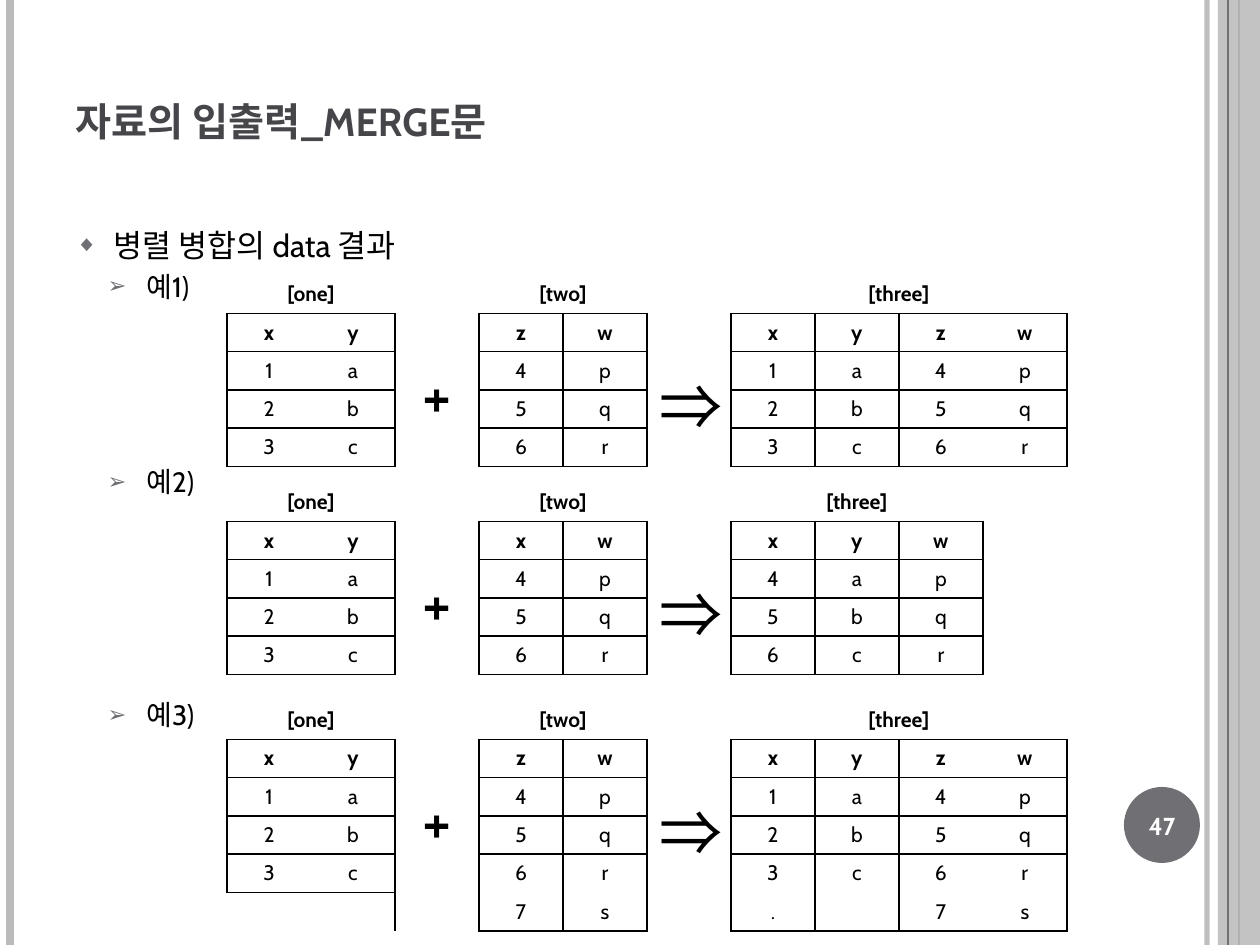
from dataclasses import dataclass

from lxml.etree import SubElement as Sub
from pptx import Presentation as Deck
from pptx.dml.color import RGBColor as Rgb
from pptx.enum.shapes import MSO_CONNECTOR as Link, MSO_SHAPE as Shape
from pptx.enum.text import MSO_ANCHOR as Anchor, MSO_AUTO_SIZE as Fit, PP_ALIGN as Align
from pptx.oxml.ns import qn
from pptx.util import Pt

SCALE = 914400 / 126


def px(n):
    return round(n * SCALE)


@dataclass
class Theme:
    font: str = "Cabin"
    sign: str = "Noto Sans CJK KR"
    ink: str = "000000"
    head: str = "46464A"
    dark: str = "6F6F74"
    pale: str = "BBBBBC"
    white: str = "FFFFFF"
    title: int = 28
    body: int = 18
    item: int = 16
    page: int = 14
    cell: int = 12
    mark: int = 36


class Page:
    def __init__(self, slide, theme):
        self.slide = slide
        self.look = theme

    def style(self, para, size, color, bold=False, face=None):
        face = face or self.look.font
        for run in para.runs:
            font = run.font
            font.size, font.bold, font.name = Pt(size), bold, face
            font.color.rgb = Rgb.from_string(color)
            Sub(font._element, qn("a:ea"), typeface=face)

    def fade(self, part, alpha):
        for tint in part.iter(qn("a:srgbClr")):
            Sub(tint, qn("a:alpha"), val=str(alpha * 1000))

    def rule(self, x, color, width, alpha=None):
        line = self.slide.shapes.add_connector(Link.STRAIGHT, px(x), 0, px(x), px(945))
        line.line.color.rgb = Rgb.from_string(color)
        line.line.width = Pt(width)
        props = line._element.spPr
        Sub(props, qn("a:effectLst"))
        if alpha:
            self.fade(props, alpha)

    def shape(self, kind, box, color, alpha=None):
        item = self.slide.shapes.add_shape(kind, *map(px, box))
        item.shadow.inherit = False
        item.fill.solid()
        item.fill.fore_color.rgb = Rgb.from_string(color)
        item.line.fill.background()
        if alpha:
            self.fade(item._element.spPr, alpha)

    def place(self, item, box):
        item.left, item.top, item.width, item.height = map(px, box)
        frame = item.text_frame
        frame.word_wrap = True
        frame.auto_size = Fit.NONE
        return frame

    def title(self, text, box):
        frame = self.place(self.slide.shapes.title, box)
        frame.text = text
        frame.vertical_anchor = Anchor.MIDDLE
        para = frame.paragraphs[0]
        para.alignment = Align.LEFT
        self.style(para, self.look.title, self.look.head, True)
        para.runs[0].font._element.set("cap", "small")

    def items(self, rows, box):
        frame = self.place(self.slide.placeholders[1], box)
        frame.vertical_anchor = Anchor.TOP
        frame.text = "\n".join(text for text, _, _ in rows)
        kinds = (("◆", 70, 38, 38, self.look.body), ("➢", 80, 71, 39, self.look.item))
        for para, (_, level, gap) in zip(frame.paragraphs, rows):
            char, ratio, left, hang, size = kinds[level]
            para.level = level
            para.space_before = Pt(gap)
            self.style(para, size, self.look.ink)
            props = para._p.get_or_add_pPr()
            props.set("marL", str(px(left)))
            props.set("indent", str(-px(hang)))
            Sub(Sub(props, qn("a:buClr")), qn("a:srgbClr"), val=self.look.dark)
            Sub(props, qn("a:buSzPct"), val=str(ratio * 1000))
            Sub(props, qn("a:buChar"), char=char)

    def text(self, text, box, size, color):
        frame = self.place(self.slide.shapes.add_textbox(0, 0, 0, 0), box)
        frame.text = text
        frame.vertical_anchor = Anchor.MIDDLE
        frame.paragraphs[0].alignment = Align.CENTER
        self.style(frame.paragraphs[0], size, color, True)

    def fill(self, cell, text, size, bold=False, face=None):
        cell.text_frame.text = text
        para = cell.text_frame.paragraphs[0]
        para.alignment = Align.CENTER
        self.style(para, size, self.look.ink, bold, face)

    def edge(self, cell, sides):
        props = cell._tc.get_or_add_tcPr()
        for side in "LRTB":
            if side in sides:
                line = Sub(props, qn("a:ln" + side), w=str(Pt(1)))
                paint = Sub(line, qn("a:solidFill"))
                Sub(paint, qn("a:srgbClr"), val=self.look.ink)
        cell.fill.background()

    def merge(self, x, y, sets, col=84, row=38):
        """Data sets side by side, with a sign column after each but the last."""
        grids = [(name, rows.split("/")) for name, rows in sets]
        high = 1 + max(len(rows) for _, rows in grids)
        wide = sum(len(rows[0]) for _, rows in grids) + len(grids) - 1
        frame = self.slide.shapes.add_table(
            high, wide, px(x), px(y), px(col * wide), px(row * high))
        table = frame.table
        table.first_row = table.horz_banding = False
        props = table._tbl.tblPr
        props.find(qn("a:tableStyleId")).text = "{2D5ABB26-0587-4C30-8999-92F81FD0307C}"
        for line in table.rows:
            line.height = px(row)

        # Small type keeps the empty cells low
        for cell in table.iter_cells():
            Sub(cell.text_frame.paragraphs[0]._p, qn("a:endParaRPr"),
                sz=str(self.look.cell * 100))

        sides = {(r, c): "" for r in range(high) for c in range(wide)}

        def mark(r, c, side):
            if (r, c) in sides:
                sides[r, c] += side

        left = 0
        signs = [("+", self.look.font), ("⇒", self.look.sign)]
        for n, (name, rows) in enumerate(grids):
            span, end = len(rows[0]), len(rows) + 1
            right = left + span
            # Name and values
            table.cell(0, left).merge(table.cell(0, right - 1))
            self.fill(table.cell(0, left), name, self.look.cell, True)
            for r, line in enumerate(rows, 1):
                for c, char in enumerate(line, left):
                    if char != " ":
                        self.fill(table.cell(r, c), char, self.look.cell, r == 1)
            # Lines of the grid
            for r in (1, 2, 3, end):
                for c in range(left, right):
                    mark(r, c, "T")
                    mark(r - 1, c, "B")
            walls = [(left, end), (right, high)] + ([(left + 1, end)] if n else [])
            for c, stop in walls:
                for r in range(1, stop):
                    mark(r, c, "L")
                    mark(r, c - 1, "R")
            # Sign to the next set
            if n < len(signs):
                char, face = signs[n]
                table.cell(2, right).merge(table.cell(high - 1, right))
                self.fill(table.cell(2, right), char, self.look.mark, face=face)
            left = right + 1

        for (r, c), found in sides.items():
            self.edge(table.cell(r, c), found)


def main():
    deck = Deck()
    deck.slide_width, deck.slide_height = px(1260), px(945)
    look = Theme()
    page = Page(deck.slides.add_slide(deck.slide_layouts[1]), look)

    # Side bars and page number
    page.rule(1207, look.pale, 3, 93)
    page.rule(10, look.pale, 4.5)
    page.rule(1239, look.dark, 1.5)
    page.shape(Shape.RECTANGLE, (1218, 0, 42, 945), look.pale, 87)
    page.rule(1228, look.dark, 0.75)
    page.shape(Shape.OVAL, (1124, 787, 76, 76), look.dark)
    page.text("47", (1120, 790, 84, 72), look.page, look.white)

    # Title and list
    page.title("자료의 입출력_merge문", (63, 38, 1029, 157))
    page.items([("병렬 병합의 data 결과", 0, 6), ("예1)", 1, 3),
                ("예2)", 1, 92.5), ("예3)", 1, 114)], (63, 220, 1029, 672))

    # Merge examples
    one = ("[one]", "xy/1a/2b/3c")
    two = ("[two]", "zw/4p/5q/6r")
    page.merge(227, 275, [one, two, ("[three]", "xyzw/1a4p/2b5q/3c6r")])
    page.merge(227, 483, [one, ("[two]", "xw/4p/5q/6r"), ("[three]", "xyw/4ap/5bq/6cr")])
    page.merge(227, 701, [one, ("[two]", "zw/4p/5q/6r/7s"),
                          ("[three]", "xyzw/1a4p/2b5q/3c6r/. 7s")])

    deck.save("out.pptx")


if __name__ == "__main__":
    main()
